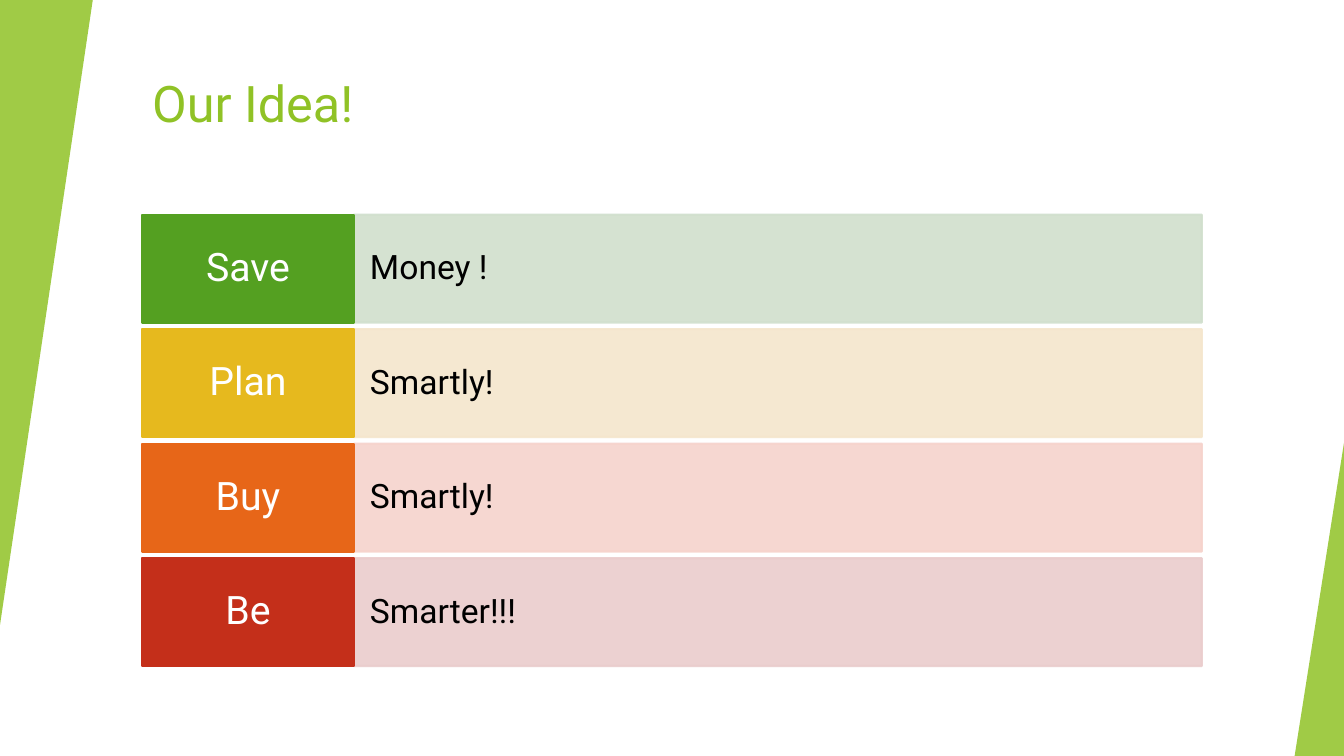
from lxml import etree
from pptx import Presentation
from pptx.dml.color import RGBColor
from pptx.enum.shapes import MSO_SHAPE
from pptx.enum.text import MSO_ANCHOR, PP_ALIGN
from pptx.oxml.ns import qn
from pptx.util import Inches, Pt

RECT, TRI = MSO_SHAPE.RECTANGLE, MSO_SHAPE.ISOSCELES_TRIANGLE
TOP, MID = MSO_ANCHOR.TOP, MSO_ANCHOR.MIDDLE
LEFT, MIDDLE = PP_ALIGN.LEFT, PP_ALIGN.CENTER

# Content: label, text, label colour, bar colour
TITLE = "Our Idea!"
ROWS = [
    ("Save", "Money !", "green", "mint"),
    ("Plan", "Smartly!", "gold", "cream"),
    ("Buy", "Smartly!", "orange", "peach"),
    ("Be", "Smarter!!!", "red", "rose"),
]
COLORS = {
    "lime": "90C226", "white": "FFFFFF", "black": "000000",
    "green": "54A021", "gold": "E6B91E", "orange": "E76618", "red": "C42F1A",
    "mint": "D1DFCD", "cream": "F5E6CD", "peach": "F6D3CC", "rose": "EACDCD",
}
FONT = "Roboto"

# Grid, in inches
WIDE, HIGH = 13.33, 7.5
EDGE, START = 1.41, 2.13
LABEL_W, BAR_W = 2.1, 8.41
ROW_H, STEP = 1.07, 1.136

# Corner triangles: left, top, width, height, rotation
CORNERS = [
    (0, 0, 0.92, 6.2, 180),
    (WIDE - 0.49, HIGH - 3.11, 0.49, 3.11, 0),
]


def tint(name):
    return RGBColor.from_string(COLORS[name])


def write(shape, text, size, color, align=LEFT, anchor=MID, pad=(0.1, 0.05), gap=0.9):
    frame = shape.text_frame
    frame.word_wrap = True
    frame.vertical_anchor = anchor
    frame.margin_left = frame.margin_right = Inches(pad[0])
    frame.margin_top = frame.margin_bottom = Inches(pad[1])
    para = frame.paragraphs[0]
    para.alignment = align
    para.line_spacing = gap
    run = para.add_run()
    run.text = text
    run.font.name = FONT
    run.font.size = Pt(size)
    run.font.color.rgb = tint(color)


def draw(slide, kind, box, color, alpha=100, line=0):
    shape = slide.shapes.add_shape(kind, *map(Inches, box))
    shape.shadow.inherit = False
    shape.fill.solid()
    shape.fill.fore_color.rgb = tint(color)
    if line:
        shape.line.color.rgb = tint(color)
        shape.line.width = Pt(line)
    else:
        shape.line.fill.background()
    # Opacity of fill and line
    if alpha < 100:
        for clr in shape.element.spPr.iter(qn("a:srgbClr")):
            etree.SubElement(clr, qn("a:alpha")).set("val", str(alpha * 1000))
    return shape


def main():
    deck = Presentation()
    deck.slide_width, deck.slide_height = Inches(WIDE), Inches(HIGH)
    slide = deck.slides.add_slide(deck.slide_layouts[5])

    # Title
    title = slide.shapes.title
    title.left, title.top = Inches(EDGE), Inches(0.67)
    title.width, title.height = Inches(11.15), Inches(1.2)
    write(title, TITLE, 36, "lime", anchor=TOP, gap=1.0)

    # Corners
    for *box, turn in CORNERS:
        corner = draw(slide, TRI, box, "lime", alpha=85)
        corner.adjustments[0] = 1
        corner.rotation = turn

    # Rows
    for i, (label, text, dark, pale) in enumerate(ROWS):
        top = START + i * STEP
        bar = draw(slide, RECT, (EDGE + LABEL_W, top, BAR_W, ROW_H), pale, alpha=90, line=1.5)
        write(bar, text, 24, "black", pad=(0.16, 0.27))
        tag = draw(slide, RECT, (EDGE, top, LABEL_W, ROW_H), dark, line=1.5)
        write(tag, label, 28, "white", align=MIDDLE, pad=(0.11, 0.11))

    deck.save("out.pptx")


if __name__ == "__main__":
    main()
